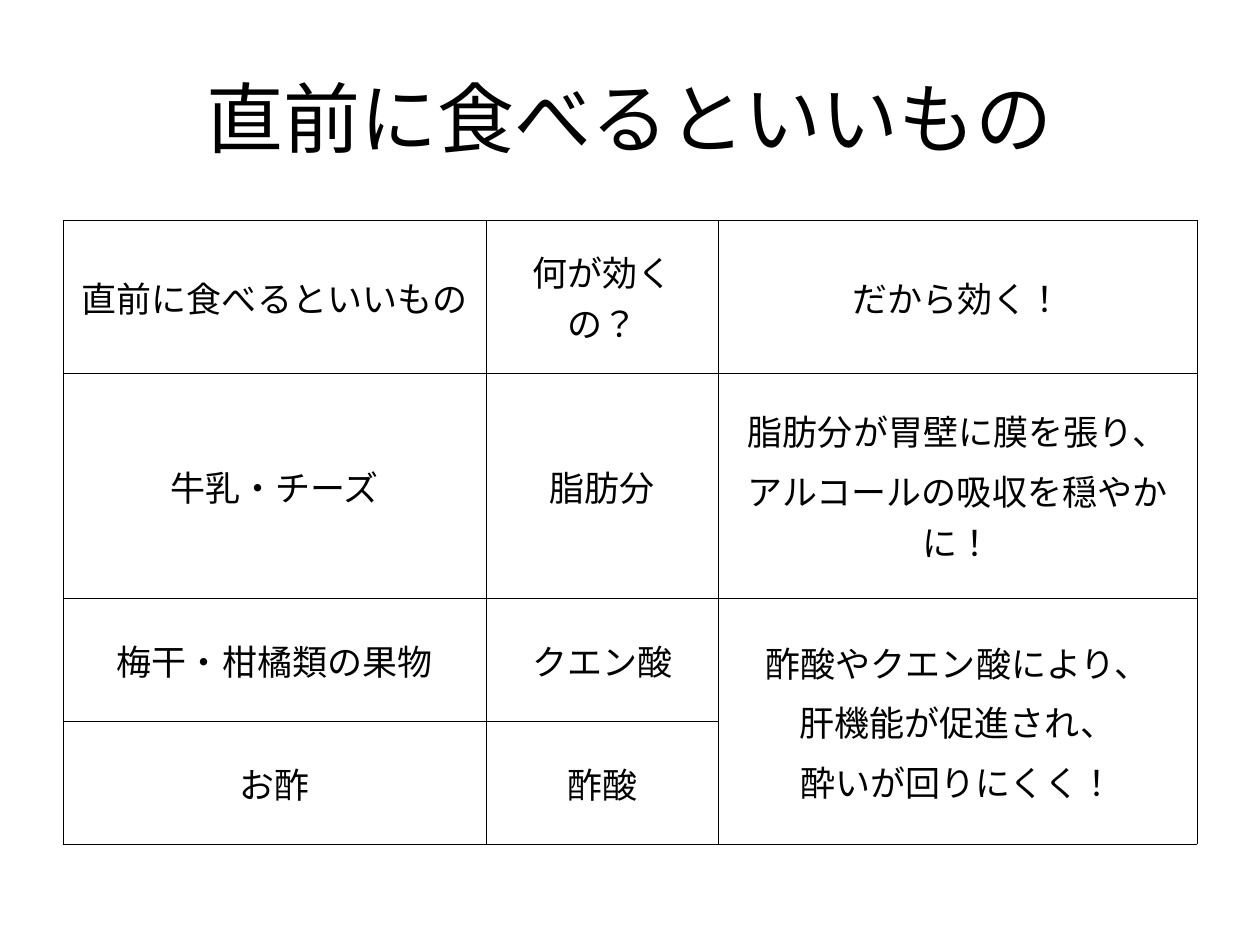
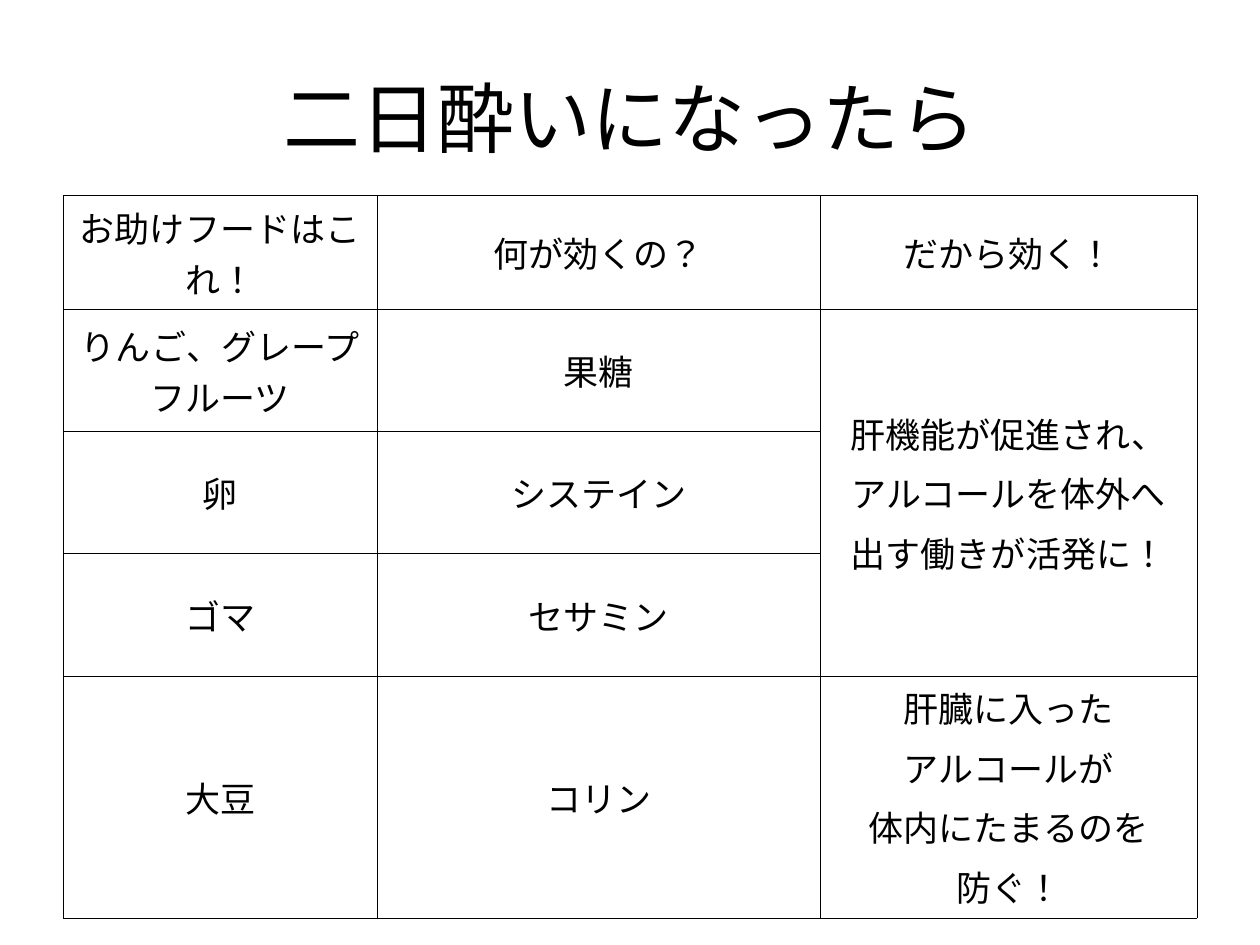
from dataclasses import dataclass
from itertools import accumulate

from lxml import etree
from pptx import Presentation
from pptx import util as u
from pptx.dml.color import RGBColor
from pptx.enum import lang, text
from pptx.oxml import ns

GRID_COLUMNS, GRID_ROWS = 100, 75
SLIDE_WIDTH, SLIDE_HEIGHT = u.Inches(10), u.Inches(7.5)
MARGIN = 5
CONTENT_WIDTH = GRID_COLUMNS - 2 * MARGIN
TITLE_TOP, TITLE_HEIGHT = 3, 12.5
INK = "000000"
TITLE_FONT, BODY_FONT = "Arial", "Noto Sans CJK JP"
BORDER_WIDTH = 0.23


@dataclass(frozen=True)
class FoodSlide:
    title: str
    top: float
    columns: tuple[float, ...]
    rows: tuple[float, ...]
    cells: tuple[tuple[str | None, ...], ...]


FOOD_SLIDES = (
    FoodSlide(
        "直前に食べるといいもの",
        17.5,
        (33.6, 18.4, 38),
        (12.1, 17.9, 9.75, 9.75),
        (
            ("直前に食べるといいもの", "何が効くの？", "だから効く！"),
            ("牛乳・チーズ", "脂肪分", "脂肪分が胃壁に膜を張り、\nアルコールの吸収を穏やかに！"),
            ("梅干・柑橘類の果物", "クエン酸", "酢酸やクエン酸により、\n肝機能が促進され、\n酔いが回りにくく！"),
            ("お酢", "酢酸", None),
        ),
    ),
    FoodSlide(
        "二日酔いになったら",
        15.5,
        (24.95, 35.15, 29.9),
        (9.05, 9.7, 9.7, 9.7, 19.2),
        (
            ("お助けフードはこれ！", "何が効くの？", "だから効く！"),
            ("りんご、グレープフルーツ", "果糖", "肝機能が促進され、\nアルコールを体外へ\n出す働きが活発に！"),
            ("卵", "システイン", None),
            ("ゴマ", "セサミン", None),
            ("大豆", "コリン", "肝臓に入った\nアルコールが\n体内にたまるのを\n防ぐ！"),
        ),
    ),
)


def across(columns: float) -> int:
    return round(SLIDE_WIDTH * columns / GRID_COLUMNS)


def down(rows: float) -> int:
    return round(SLIDE_HEIGHT * rows / GRID_ROWS)


def color(value: str) -> RGBColor:
    return RGBColor.from_string(value)


def write(frame, content: str, *, size: float, font: str, ink: str = INK, space: float = 0) -> None:
    for index, line in enumerate(content.split("\n")):
        paragraph = frame.paragraphs[0] if index == 0 else frame.add_paragraph()
        paragraph.alignment = text.PP_ALIGN.CENTER
        if index and space:
            paragraph.space_before = u.Pt(space)
        run = paragraph.add_run()
        run.text = line
        run.font.size = u.Pt(size)
        run.font.name = font
        run.font.color.rgb = color(ink)
        run.font.language_id = lang.MSO_LANGUAGE_ID.JAPANESE
        east_asian = etree.SubElement(run.font._element, ns.qn("a:ea"))
        east_asian.set("typeface", BODY_FONT)


def draw_borders(cell, ink: str = INK) -> None:
    properties = cell._tc.get_or_add_tcPr()
    for side in ("lnL", "lnR", "lnT", "lnB"):
        line = etree.SubElement(properties, ns.qn(f"a:{side}"), w=str(u.Pt(BORDER_WIDTH)))
        fill = etree.SubElement(line, ns.qn("a:solidFill"))
        etree.SubElement(fill, ns.qn("a:srgbClr"), val=ink)


def add_title(slide, title: str) -> None:
    shape = slide.shapes.add_textbox(
        across(MARGIN), down(TITLE_TOP), across(CONTENT_WIDTH), down(TITLE_HEIGHT)
    )
    shape.text_frame.word_wrap = True
    shape.text_frame.vertical_anchor = text.MSO_ANCHOR.MIDDLE
    write(shape.text_frame, title, size=44, font=TITLE_FONT)


def add_food_table(slide, food: FoodSlide) -> None:
    table = slide.shapes.add_table(
        len(food.rows), len(food.columns),
        across(MARGIN), down(food.top), across(sum(food.columns)), down(sum(food.rows)),
    ).table
    table.first_row = table.horz_banding = False
    edges = [across(edge) for edge in accumulate(food.columns, initial=0)]
    for column, left, right in zip(table.columns, edges, edges[1:]):
        column.width = right - left
    for row, height in zip(table.rows, food.rows):
        row.height = down(height)

    for row_index, contents in enumerate(food.cells):
        for column_index, content in enumerate(contents):
            cell = table.cell(row_index, column_index)
            draw_borders(cell)
            cell.fill.background()
            cell.vertical_anchor = text.MSO_ANCHOR.MIDDLE
            if content is not None:
                write(cell.text_frame, content, size=20, font=BODY_FONT, space=5)

    for column_index, contents in enumerate(zip(*food.cells)):
        starts = [index for index, content in enumerate(contents) if content is not None]
        for start, following in zip(starts, starts[1:] + [len(contents)]):
            if following - start > 1:
                table.cell(start, column_index).merge(table.cell(following - 1, column_index))


def main() -> None:
    presentation = Presentation()
    presentation.slide_width, presentation.slide_height = SLIDE_WIDTH, SLIDE_HEIGHT
    for food in FOOD_SLIDES:
        slide = presentation.slides.add_slide(presentation.slide_layouts[6])
        add_title(slide, food.title)
        add_food_table(slide, food)
    presentation.save("out.pptx")


if __name__ == "__main__":
    main()
